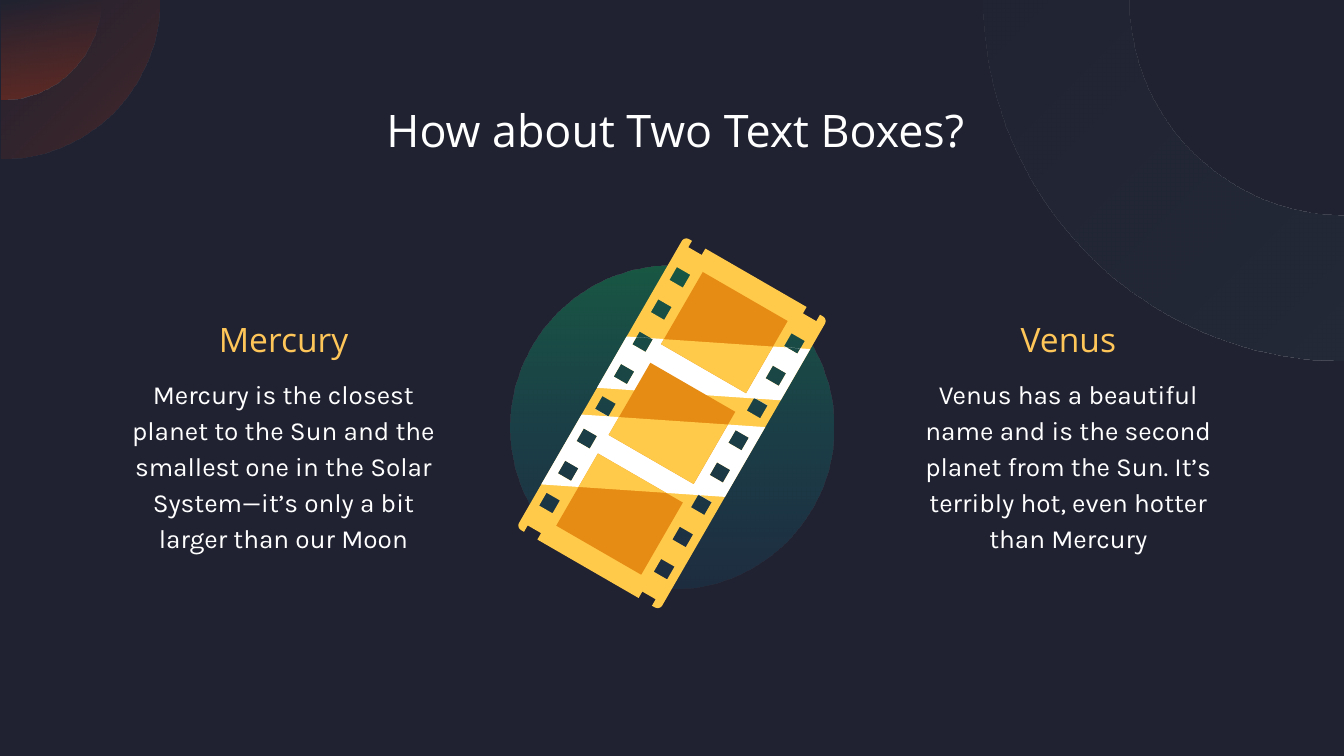
"""Build a slide with a film strip between two text boxes."""
from dataclasses import dataclass
from math import cos, pi, radians, sin

from lxml.etree import SubElement
from pptx import Presentation
from pptx.dml.color import RGBColor
from pptx.enum.shapes import MSO_SHAPE
from pptx.enum.text import MSO_ANCHOR, MSO_AUTO_SIZE, PP_ALIGN
from pptx.oxml.ns import qn
from pptx.util import Inches, Pt

Point = tuple[float, float]
Contour = list[Point]

WHITE, YELLOW, ORANGE, GOLD = "FFFFFF", "FFC94A", "E68C14", "FEC659"
STRIP_CENTER, STRIP_ANGLE = (5.0, 3.15), 30
HALF_WIDTH, HALF_HEIGHT = 0.615, 1.25
HOLE_X, HOLE_WIDTH, HOLE_HEIGHT, HOLE_PITCH, HOLE_ROWS = 0.4925, 0.115, 0.11, 0.277, 8
FRAME_HALF_WIDTH, FRAME_HALF_HEIGHT, FRAME_PITCH = 0.365, 0.31, 0.78
GLARE_SLOPE = -0.49
GLARE_BANDS = [(-0.39, 0.05), (0.28, 0.88)]


@dataclass
class Gradient:
    colors: tuple[str, str]
    opacities: tuple[int, int]
    angle: int


@dataclass
class Column:
    left: float
    heading: str
    body: str


COLUMNS = [
    Column(0.79, "Mercury", "Mercury is the closest planet to the Sun and the smallest one "
           "in the Solar System—it’s only a bit larger than our Moon"),
    Column(6.63, "Venus", "Venus has a beautiful name and is the second planet from the Sun. "
           "It’s terribly hot, even hotter than Mercury"),
]
TITLE_FORMAT = {"name": "Open Sans", "size": Pt(24)}
HEADING_FORMAT = {"name": "Open Sans", "size": Pt(18)}
BODY_FORMAT = {"name": "Karla", "size": Pt(14)}


def rgb(value: str) -> RGBColor:
    return RGBColor.from_string(value)


def paint(shape, fill: str | Gradient) -> None:
    shape.shadow.inherit = False
    shape.line.fill.background()
    if isinstance(fill, str):
        shape.fill.solid()
        shape.fill.fore_color.rgb = rgb(fill)
        return
    shape.fill.gradient()
    shape.fill.gradient_angle = 360 - fill.angle
    for stop, position, color in zip(shape.fill.gradient_stops, (0, 1), fill.colors):
        stop.position = position
        stop.color.rgb = rgb(color)
    color_elements = shape._element.spPr.find(qn("a:gradFill")).iter(qn("a:srgbClr"))
    for element, opacity in zip(color_elements, fill.opacities):
        SubElement(element, qn("a:alpha")).set("val", str(opacity * 1000))


def draw_outline(slide, contours: list[Contour], fill: str | Gradient,
                 shift: Point = (0, 0)):
    scaled = [[(Inches(x), Inches(y)) for x, y in contour] for contour in contours]
    builder = slide.shapes.build_freeform(*scaled[0][0])
    for index, contour in enumerate(scaled):
        if index:
            builder.move_to(*contour[0])
        builder.add_line_segments(contour[1:], close=True)
    shape = builder.convert_to_shape(Inches(shift[0]), Inches(shift[1]))
    paint(shape, fill)
    return shape


def draw_on_strip(slide, contours: list[Contour], color: str) -> None:
    """Draw strip-local contours turned about the strip's center."""
    xs, ys = zip(*(point for contour in contours for point in contour))
    x, y = (min(xs) + max(xs)) / 2, (min(ys) + max(ys)) / 2
    turn = radians(STRIP_ANGLE)
    shift = (STRIP_CENTER[0] + x * cos(turn) - y * sin(turn) - x,
             STRIP_CENTER[1] + x * sin(turn) + y * cos(turn) - y)
    draw_outline(slide, contours, color, shift).rotation = STRIP_ANGLE


def arc(center: Point, radius: float, start: float, end: float, steps: int = 48) -> Contour:
    angles = [start + (end - start) * step / steps for step in range(steps + 1)]
    return [(center[0] + radius * cos(a), center[1] + radius * sin(a)) for a in angles]


def strip_outline() -> Contour:
    notch = HALF_HEIGHT - 0.055
    corner = [(0.435, HALF_HEIGHT), (0.435, notch), (0.55, notch), (0.55, HALF_HEIGHT)]
    corner += arc((HALF_WIDTH - 0.04, HALF_HEIGHT - 0.04), 0.04, pi / 2, 0, 6)
    right = corner + [(x, -y) for x, y in reversed(corner)]
    return right + [(-x, -y) for x, y in right]


def glare_edge(left_y: float, x: float) -> float:
    return left_y + GLARE_SLOPE * (x + HALF_WIDTH)


def slanted_band(left: float, right: float, top: float, bottom: float,
                 steps: int = 1) -> Contour:
    xs = [left + (right - left) * step / steps for step in range(steps + 1)]
    upper = [(x, glare_edge(top, x)) for x in xs]
    return upper + [(x, glare_edge(bottom, x)) for x in reversed(xs)]


def holes(band: tuple[float, float] = (-9, 9), steps: int = 1) -> list[Contour]:
    """Return the sprocket holes, each cut to the slanted band."""
    found = []
    for row in range(HOLE_ROWS):
        middle = (row - (HOLE_ROWS - 1) / 2) * HOLE_PITCH
        top, bottom = middle - HOLE_HEIGHT / 2, middle + HOLE_HEIGHT / 2
        for center in (-HOLE_X, HOLE_X):
            left, right = center - HOLE_WIDTH / 2, center + HOLE_WIDTH / 2
            hole = [(x, min(max(y, top), bottom))
                    for x, y in slanted_band(left, right, *band, steps)]
            if any(high[1] < low[1] for high, low in zip(hole[:steps + 1], reversed(hole))):
                found.append(hole)
    return found


def rectangle(top: float, bottom: float) -> Contour:
    left, right = -FRAME_HALF_WIDTH, FRAME_HALF_WIDTH
    return [(left, top), (right, top), (right, bottom), (left, bottom)]


def draw_film_strip(slide) -> None:
    draw_on_strip(slide, [strip_outline(), *holes()], YELLOW)
    for band in GLARE_BANDS:
        outline = slanted_band(-HALF_WIDTH, HALF_WIDTH, *band)
        draw_on_strip(slide, [outline, *holes(band, 12)], WHITE)
    left, right = -FRAME_HALF_WIDTH, FRAME_HALF_WIDTH
    for row in (-1, 0, 1):
        middle = row * FRAME_PITCH
        top, bottom = middle - FRAME_HALF_HEIGHT, middle + FRAME_HALF_HEIGHT
        draw_on_strip(slide, [rectangle(top, bottom)], ORANGE)
        if row < 1:
            start = GLARE_BANDS[row + 1][0]
            glare = [(left, glare_edge(start, left)), (right, glare_edge(start, right)),
                     (right, bottom), (left, bottom)]
        else:
            edge = glare_edge(GLARE_BANDS[1][1], left)
            glare = [(left, top), (left, edge), (left + (top - edge) / GLARE_SLOPE, top)]
        draw_on_strip(slide, [glare], YELLOW)


def draw_backdrop(slide) -> None:
    for radius, opacity, angle in ((1.18, 30, 225), (0.74, 42, 270)):
        quarter = [(0.01, 0)] + arc((0.01, 0), radius, 0, pi / 2)
        draw_outline(slide, [quarter], Gradient(("9C3218", "9C3218"), (opacity, 0), angle))
    ring = arc((10, 0), 2.68, pi, pi / 2) + arc((10, 0), 1.6, pi / 2, pi)
    draw_outline(slide, [ring], Gradient(("252C3A", "252C3A"), (75, 20), 225))
    circle = slide.shapes.add_shape(MSO_SHAPE.OVAL, Inches(3.8), Inches(1.98),
                                    Inches(2.4), Inches(2.4))
    paint(circle, Gradient(("0AC668", "0A94C6"), (33, 10), 90))


def write(box, text: str, format_values: dict, color: str, anchor: MSO_ANCHOR,
          spacing: float = 1.0) -> None:
    frame = box.text_frame
    frame.word_wrap = True
    frame.auto_size = MSO_AUTO_SIZE.NONE
    frame.vertical_anchor = anchor
    for side in ("left", "top", "right", "bottom"):
        setattr(frame, f"margin_{side}", Inches(0.1))
    para = frame.paragraphs[0]
    para.alignment = PP_ALIGN.CENTER
    para.line_spacing = spacing
    para.space_before = Pt(0)
    span = para.add_run()
    span.text = text
    for name, value in format_values.items():
        setattr(span.font, name, value)
    span.font.color.rgb = rgb(color)


def add_text(slide, place: tuple, text: str, format_values: dict, color: str) -> None:
    box = slide.shapes.add_textbox(*map(Inches, place))
    write(box, text, format_values, color, MSO_ANCHOR.TOP, 1.15)


def main() -> None:
    deck = Presentation()
    deck.slide_width, deck.slide_height = Inches(10), Inches(10 * 9 / 16)
    page = deck.slides.add_slide(deck.slide_layouts[5])
    page.background.fill.solid()
    page.background.fill.fore_color.rgb = rgb("202231")
    title = page.shapes.title
    title.left, title.top, title.width, title.height = map(Inches, (0.79, 0.65, 8.47, 0.63))
    write(title, "How about Two Text Boxes?", TITLE_FORMAT, WHITE, MSO_ANCHOR.MIDDLE)
    draw_backdrop(page)
    for column in COLUMNS:
        add_text(page, (column.left, 2.23, 2.64, 0.63), column.heading, HEADING_FORMAT, GOLD)
        add_text(page, (column.left, 2.68, 2.64, 1.45), column.body, BODY_FORMAT, WHITE)
    draw_film_strip(page)
    deck.save("out.pptx")


if __name__ == "__main__":
    main()
